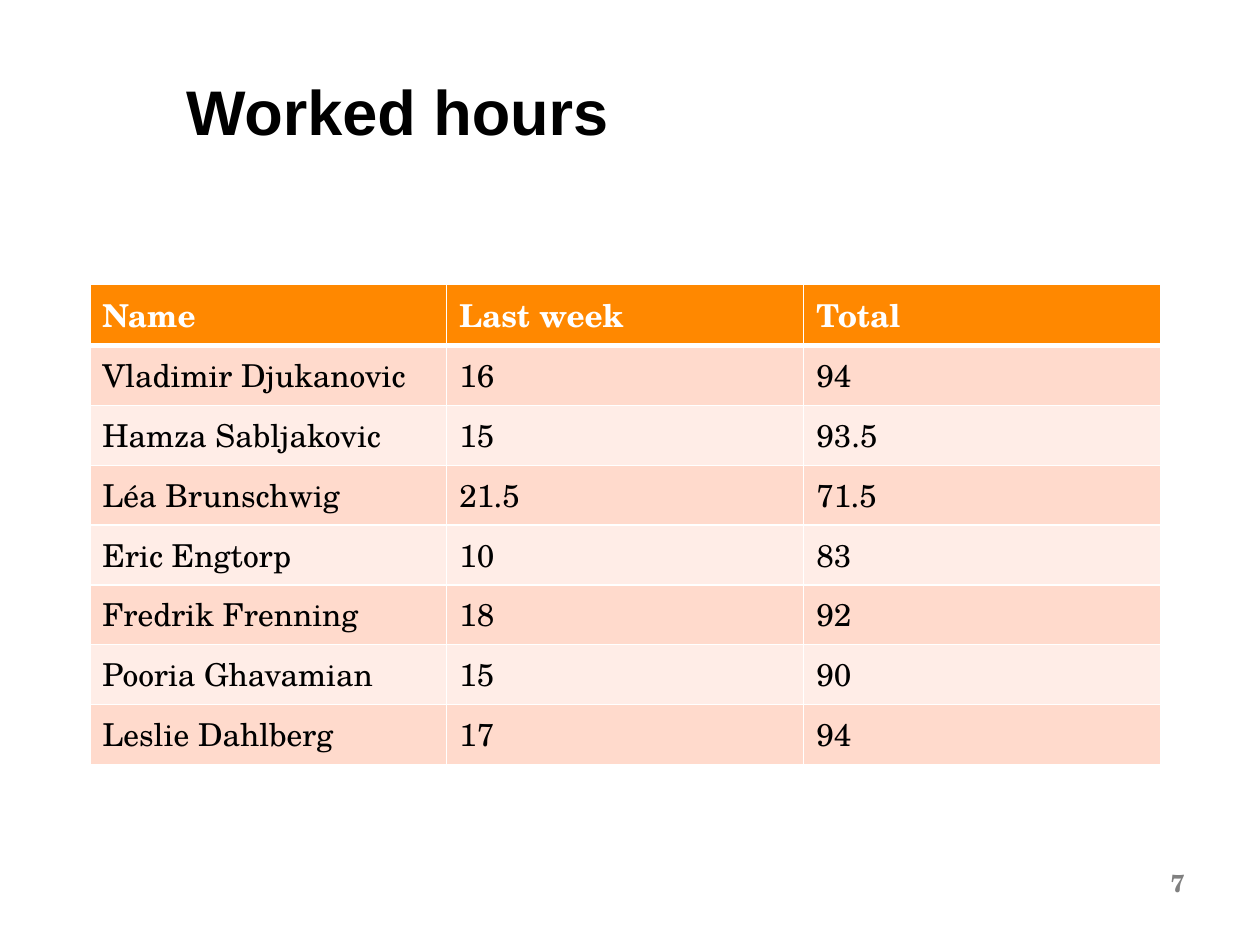
from lxml import etree
from pptx import Presentation
from pptx.dml.color import RGBColor
from pptx.enum.text import MSO_ANCHOR, PP_ALIGN
from pptx.oxml.ns import qn
from pptx.util import Cm, Pt

TOP, MIDDLE = MSO_ANCHOR.TOP, MSO_ANCHOR.MIDDLE
LEFT, RIGHT = PP_ALIGN.LEFT, PP_ALIGN.RIGHT
TITLE_ONLY = 5
SERIF = "TeX Gyre Schola"
WHITE, BLACK, GRAY, ORANGE = "FFFFFF", "000000", "808080", "FF8800"
BANDS = ("FFDACC", "FFEDE7")

HOURS = [
    ("Name", "Last week", "Total"),
    ("Vladimir Djukanovic", "16", "94"),
    ("Hamza Sabljakovic", "15", "93.5"),
    ("Léa Brunschwig", "21.5", "71.5"),
    ("Eric Engtorp", "10", "83"),
    ("Fredrik Frenning", "18", "92"),
    ("Pooria Ghavamian", "15", "90"),
    ("Leslie Dahlberg", "17", "94"),
]


def rgb(value):
    return RGBColor.from_string(value)


def write(tf, text, font, size, color, bold=False, align=LEFT):
    p = tf.paragraphs[0]
    p.text = text
    p.alignment = align
    p.font.name = font
    p.font.size = Pt(size)
    p.font.bold = bold
    p.font.color.rgb = rgb(color)
    return p


def set_border(cell, side, color, width):
    ln = etree.SubElement(cell._tc.get_or_add_tcPr(), qn(f"a:ln{side}"), w=str(Pt(width)))
    fill = etree.SubElement(ln, qn("a:solidFill"))
    etree.SubElement(fill, qn("a:srgbClr"), val=color)


def add_title(s, text, left, top, width, height):
    sp = s.shapes.title
    sp.left, sp.top, sp.width, sp.height = left, top, width, height
    sp.text_frame.vertical_anchor = TOP
    p = write(sp.text_frame, text, "Arial", 36, BLACK, bold=True)
    p.line_spacing = Pt(40)


def add_hours_table(s, rows, left, top, width, height):
    n_cols = len(rows[0])
    table = s.shapes.add_table(len(rows), n_cols, left, top, width, height).table
    for column in table.columns:
        column.width = width // n_cols
    for i, values in enumerate(rows):
        header = i == 0
        table.rows[i].height = height // len(rows)
        for j, value in enumerate(values):
            cell = table.cell(i, j)
            for side in "LRTB":
                under_header = (i, side) in ((0, "B"), (1, "T"))
                set_border(cell, side, WHITE, 3 if under_header else 1)
            cell.fill.solid()
            cell.fill.fore_color.rgb = rgb(ORANGE if header else BANDS[(i - 1) % 2])
            write(cell.text_frame, value, SERIF, 18, WHITE if header else BLACK, bold=header)


def add_page_number(s, number, left, top, width, height):
    tf = s.shapes.add_textbox(left, top, width, height).text_frame
    tf.word_wrap = True
    tf.vertical_anchor = MIDDLE
    write(tf, str(number), SERIF, 14, GRAY, bold=True, align=RIGHT)


def main():
    prs = Presentation()
    prs.slide_width, prs.slide_height = Cm(25.4), Cm(19.05)
    s = prs.slides.add_slide(prs.slide_layouts[TITLE_ONLY])
    add_title(s, "Worked hours", Cm(3.5), Cm(1.45), Cm(18.2), Cm(3.55))
    add_hours_table(s, HOURS, Cm(1.81), Cm(5.73), Cm(21.59), Cm(9.65))
    add_page_number(s, 7, Cm(21.9), Cm(17.45), Cm(2.23), Cm(0.68))
    prs.save("out.pptx")


if __name__ == "__main__":
    main()
